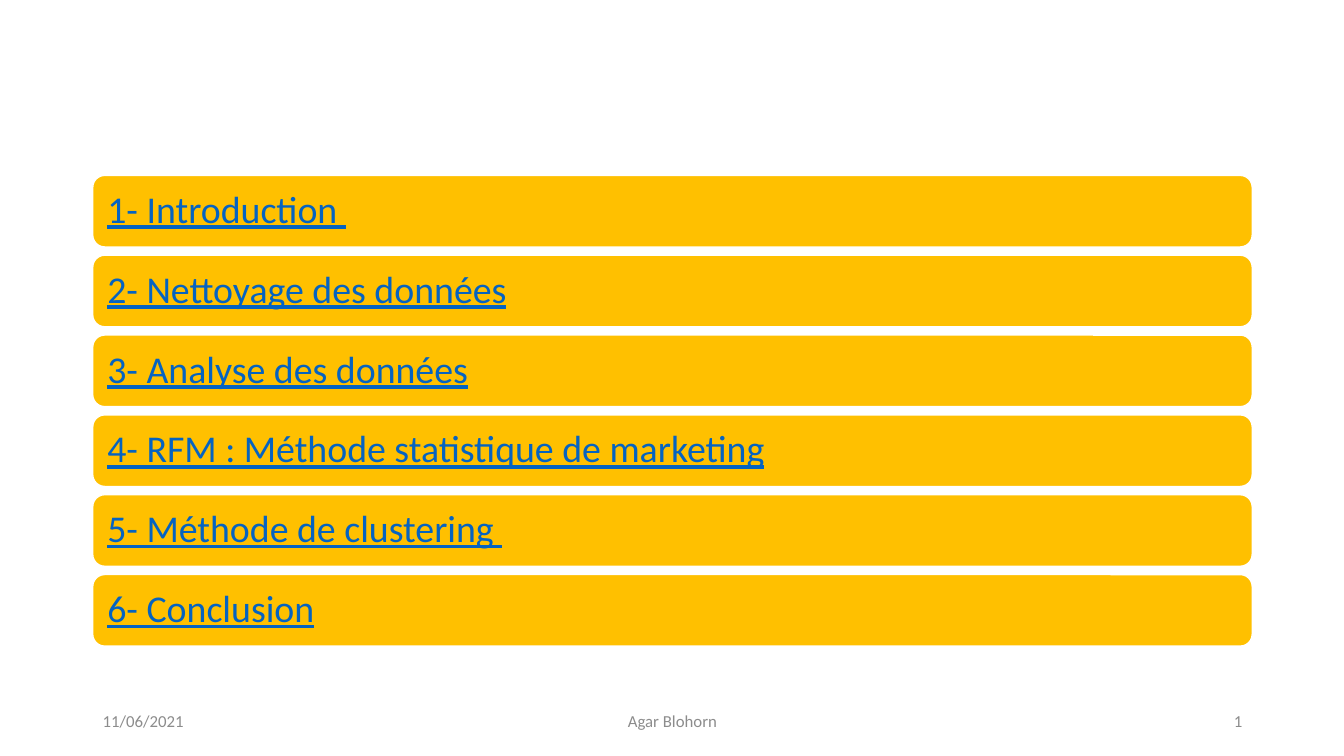
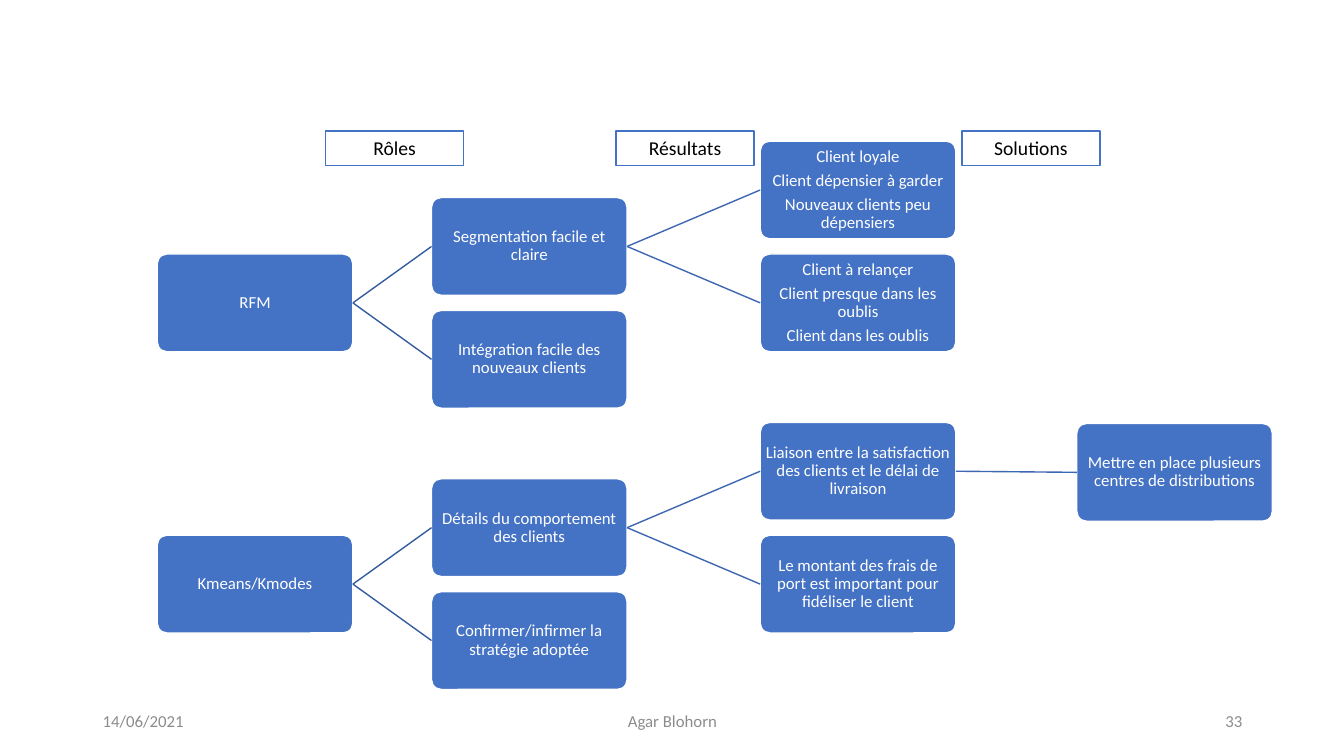
from collections import namedtuple

from lxml import etree
from pptx import Presentation
from pptx.dml.color import RGBColor
from pptx.enum import shapes, text
from pptx.oxml import ns
from pptx.util import Inches, Pt

FONT = "Calibri"
GOLD, BLUE, WHITE, BLACK = "FFC000", "4472C4", "FFFFFF", "000000"
LINK, GREY = "0563C1", "8C8C8C"
LEFT, CENTER, RIGHT = text.PP_ALIGN.LEFT, text.PP_ALIGN.CENTER, text.PP_ALIGN.RIGHT
ROUNDED = shapes.MSO_SHAPE.ROUNDED_RECTANGLE
RECTANGLE = shapes.MSO_SHAPE.RECTANGLE
LEFT_SITE, RIGHT_SITE = 1, 3

Box = namedtuple("Box", "left top width height")
Node = namedtuple("Node", "step lines children", defaults=[()])

AGENDA = [
    "1- Introduction ",
    "2- Nettoyage des données",
    "3- Analyse des données",
    "4- RFM : Méthode statistique de marketing",
    "5- Méthode de clustering ",
    "6- Conclusion",
]

RFM = Node(2, ["RFM"], [
    Node(1, ["Segmentation facile et claire"], [
        Node(0, ["Client loyale", "Client dépensier à garder",
                 "Nouveaux clients peu dépensiers"]),
        Node(2, ["Client à relançer", "Client presque dans les oublis",
                 "Client dans les oublis"]),
    ]),
    Node(3, ["Intégration facile des nouveaux clients"]),
])

KMEANS = Node(2, ["Kmeans/Kmodes"], [
    Node(1, ["Détails du comportement des clients"], [
        Node(0, ["Liaison entre la satisfaction des clients et le délai de livraison"], [
            Node(0.02, ["Mettre en place plusieurs centres de distributions"]),
        ]),
        Node(2, ["Le montant des frais de port est important pour fidéliser le client"]),
    ]),
    Node(3, ["Confirmer/infirmer la stratégie adoptée"]),
])

COLUMN_OFFSETS = [0, 2.72, 5.98, 9.12]
LINK_COLOURS = ["365B9D", "3E67B2", "3E67B2"]
NODE_WIDTH, NODE_HEIGHT, NODE_STEP = 1.94, 0.97, 0.56


def colour(value):
    return RGBColor.from_string(value)


def write(shape, lines, size, ink, align, spacing=1, after=0, underline=None):
    frame = shape.text_frame
    frame.word_wrap = True
    frame.text = "\n".join(lines)
    for para in frame.paragraphs:
        para.alignment = align
        para.line_spacing = spacing
        para.space_after = Pt(after)
        para.font.name = FONT
        para.font.size = Pt(size)
        para.font.color.rgb = colour(ink)
        para.font.underline = underline
    return frame


def set_margins(frame, margin):
    frame.margin_left = frame.margin_right = Inches(margin)
    frame.margin_top = frame.margin_bottom = Inches(margin)


def add_panel(page, kind, box, fill, outline):
    panel = page.shapes.add_shape(kind, *map(Inches, box))
    panel.shadow.inherit = False
    panel.fill.solid()
    panel.fill.fore_color.rgb = colour(fill)
    panel.line.color.rgb = colour(outline)
    panel.line.width = Pt(1)
    return panel


def add_footer(page, date, number):
    parts = [
        (0.92, 3, date, LEFT),
        (4.42, 4.5, "Agar Blohorn", CENTER),
        (9.42, 3, number, RIGHT),
    ]
    for left, width, words, align in parts:
        footer = page.shapes.add_textbox(*map(Inches, (left, 6.95, width, 0.4)))
        frame = write(footer, [words], 12, GREY, align)
        frame.vertical_anchor = text.MSO_ANCHOR.MIDDLE


def add_agenda(page, box, entries):
    row_height = 0.71
    pitch = (box.height - row_height) / (len(entries) - 1)
    for index, entry in enumerate(entries):
        row = Box(box.left, box.top + index * pitch, box.width, row_height)
        panel = add_panel(page, ROUNDED, row, GOLD, WHITE)
        frame = write(panel, [entry], 27, LINK, LEFT, spacing=0.9, underline=True)
        frame.vertical_anchor = text.MSO_ANCHOR.MIDDLE
        set_margins(frame, 0.11)


def add_link(page, parent, child, ink):
    link = page.shapes.add_connector(shapes.MSO_CONNECTOR.STRAIGHT, 0, 0, 0, 0)
    link.begin_connect(parent, RIGHT_SITE)
    link.end_connect(child, LEFT_SITE)
    link.line.color.rgb = colour(ink)
    link.line.width = Pt(1)
    etree.SubElement(link.element.spPr, ns.qn("a:effectLst"))


def add_tree(page, left, top, node, level=0):
    box = Box(left + COLUMN_OFFSETS[level], top + node.step * NODE_STEP,
              NODE_WIDTH, NODE_HEIGHT)
    panel = add_panel(page, ROUNDED, box, BLUE, WHITE)
    panel.adjustments[0] = 0.1
    frame = write(panel, node.lines, 12, WHITE, CENTER, spacing=0.9, after=4.2)
    frame.vertical_anchor = text.MSO_ANCHOR.MIDDLE
    set_margins(frame, 0.01)
    for child in node.children:
        add_link(page, panel, add_tree(page, left, top, child, level + 1),
                 LINK_COLOURS[level])
    return panel


def add_headings(page, top, headings):
    for left, heading in headings:
        panel = add_panel(page, RECTANGLE, Box(left, top, 1.37, 0.34), WHITE, BLUE)
        frame = write(panel, [heading], 14, BLACK, CENTER)
        frame.vertical_anchor = text.MSO_ANCHOR.TOP


def build_agenda_page(page):
    add_agenda(page, Box(0.92, 1.74, 11.5, 4.67), AGENDA)
    add_footer(page, "11/06/2021", "1")


def build_methods_page(page):
    for top, tree in [(1.4, RFM), (4.19, KMEANS)]:
        add_tree(page, 1.56, top, tree)
    add_headings(page, 1.3, [(3.23, "Rôles"), (6.11, "Résultats"), (9.54, "Solutions")])
    add_footer(page, "14/06/2021", "33")


def main():
    deck = Presentation()
    deck.slide_width, deck.slide_height = Inches(13.33), Inches(7.5)
    blank = deck.slide_layouts[6]
    for build in (build_agenda_page, build_methods_page):
        build(deck.slides.add_slide(blank))
    deck.save("out.pptx")


if __name__ == "__main__":
    main()
